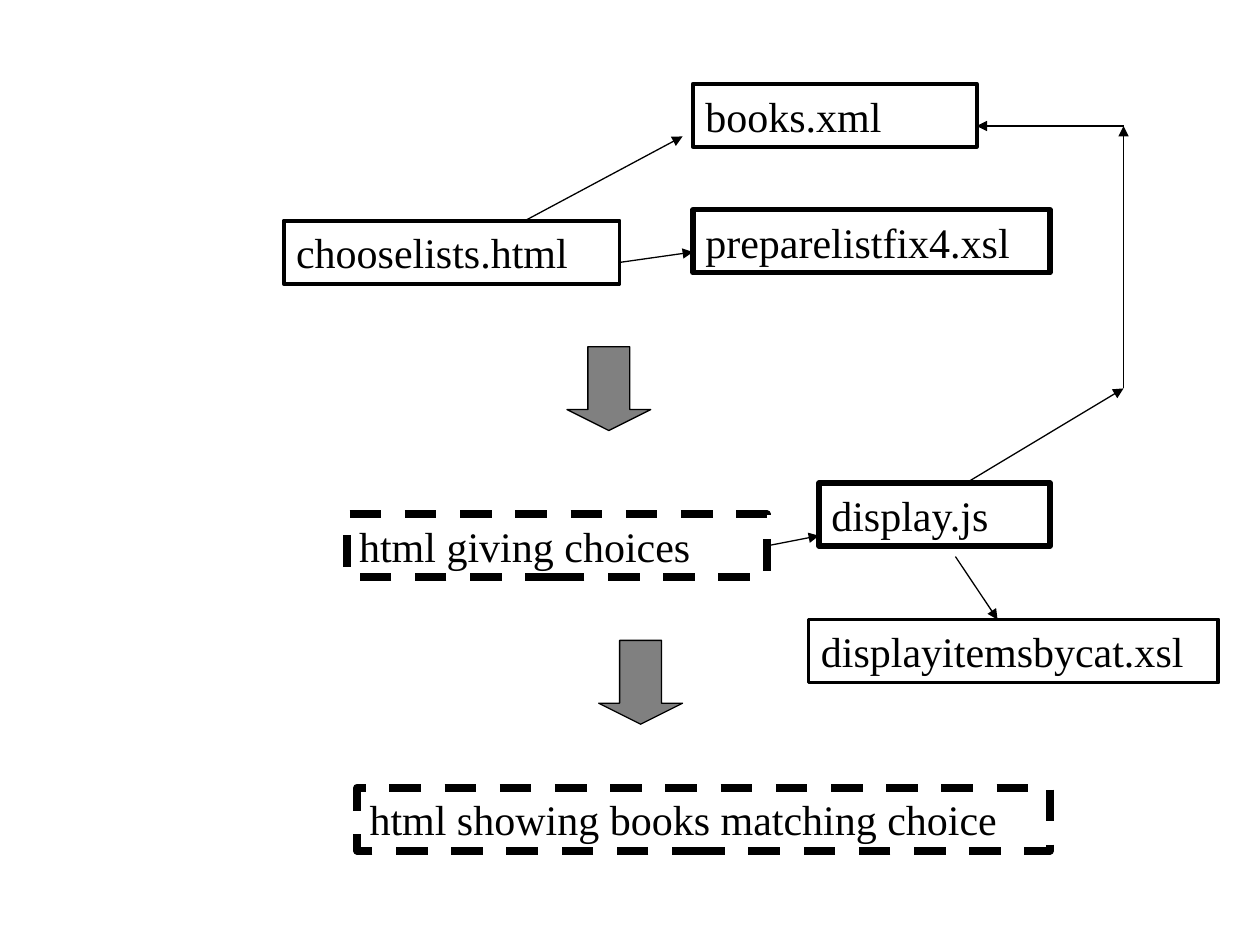
from lxml.etree import SubElement
from pptx import Presentation
from pptx.dml.color import RGBColor
from pptx.enum.dml import MSO_LINE
from pptx.enum.shapes import MSO_CONNECTOR, MSO_SHAPE
from pptx.enum.text import MSO_ANCHOR, PP_ALIGN
from pptx.oxml.ns import qn
from pptx.util import Cm, Pt

BLACK = RGBColor(0x00, 0x00, 0x00)
GRAY = RGBColor(0x80, 0x80, 0x80)
BOX_HEIGHT = 1.27
ARROW_SIZE = 1.69

presentation = Presentation()
presentation.slide_width = Cm(25.4)
presentation.slide_height = Cm(19.05)
slide = presentation.slides.add_slide(presentation.slide_layouts[6])

# File boxes; dashed ones are generated pages: text, left, top, width, line width
boxes = [
    ("chooselists.html", 5.72, 4.45, 6.77, 2.25),
    ("books.xml", 13.97, 1.69, 5.72, 2.25),
    ("preparelistfix4.xsl", 13.97, 4.23, 7.2, 3),
    ("html giving choices", 6.99, 10.37, 8.47, 4.5),
    ("displayitemsbycat.xsl", 16.3, 12.49, 8.26, 2.25),
    ("display.js", 16.51, 9.74, 4.66, 3),
    ("html showing books matching choice", 7.2, 15.88, 13.97, 4.5),
]
box_shapes = {}
for text, left, top, width, line_width in boxes:
    shape = slide.shapes.add_shape(
        MSO_SHAPE.RECTANGLE, Cm(left), Cm(top), Cm(width), Cm(BOX_HEIGHT))
    shape.shadow.inherit = False
    shape.fill.background()
    shape.line.color.rgb = BLACK
    shape.line.width = Pt(line_width)
    if text.startswith("html "):
        shape.line.dash_style = MSO_LINE.DASH
    text_frame = shape.text_frame
    text_frame.text = text
    text_frame.word_wrap = True
    text_frame.vertical_anchor = MSO_ANCHOR.TOP
    paragraph = text_frame.paragraphs[0]
    paragraph.alignment = PP_ALIGN.LEFT
    font = paragraph.runs[0].font
    font.name = "Times New Roman"
    font.size = Pt(24)
    font.color.rgb = BLACK
    box_shapes[text] = shape

# Block arrows between the stages
for left, top in [(11.43, 6.99), (12.07, 12.91)]:
    shape = slide.shapes.add_shape(
        MSO_SHAPE.DOWN_ARROW, Cm(left), Cm(top), Cm(ARROW_SIZE), Cm(ARROW_SIZE))
    shape.adjustments[0] = 0.5
    shape.adjustments[1] = 0.25
    shape.shadow.inherit = False
    shape.fill.solid()
    shape.fill.fore_color.rgb = GRAY
    shape.line.color.rgb = BLACK
    shape.line.width = Pt(0.75)

# Thin arrows to the files used: start x, start y, end x, end y, source box
arrows = [
    (10.58, 4.45, 13.76, 2.75, None),
    (12.49, 5.29, 13.97, 5.08, None),
    (15.46, 11, 16.51, 10.8, "html giving choices"),
    (19.47, 9.74, 22.65, 7.83, None),
    (19.26, 11.22, 20.11, 12.49, None),
    (22.65, 7.83, 22.65, 2.54, None),
    (22.65, 2.54, 19.69, 2.54, None),
]
for start_x, start_y, end_x, end_y, source in arrows:
    connector = slide.shapes.add_connector(
        MSO_CONNECTOR.STRAIGHT, Cm(start_x), Cm(start_y), Cm(end_x), Cm(end_y))
    if source:
        connector.begin_connect(box_shapes[source], 3)
    connector.line.color.rgb = BLACK
    connector.line.width = Pt(0.75)
    SubElement(connector.line._get_or_add_ln(), qn("a:tailEnd"), type="triangle")
    SubElement(connector._element.spPr, qn("a:effectLst"))

presentation.save("out.pptx")
